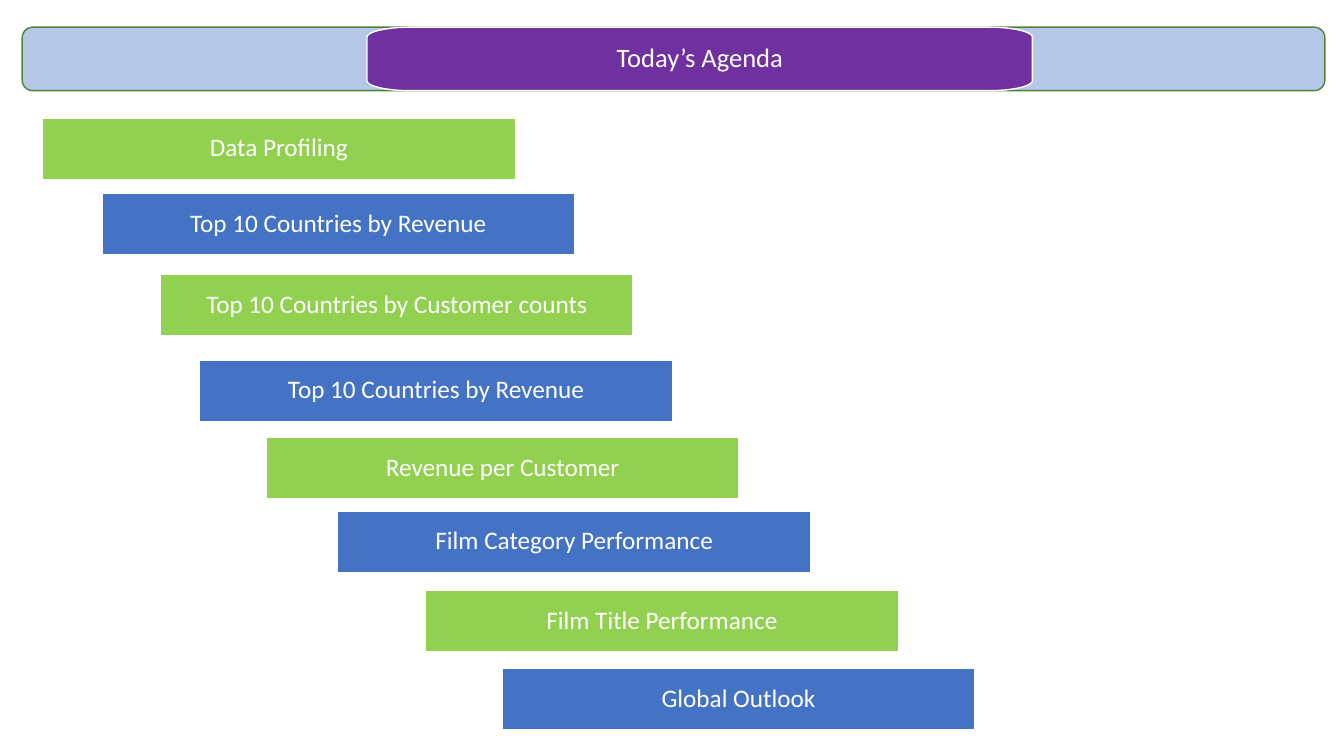
import math

from pptx import Presentation
from pptx.dml.color import RGBColor
from pptx.enum.shapes import MSO_SHAPE
from pptx.enum.text import MSO_ANCHOR, PP_ALIGN
from pptx.util import Pt

PX = 9144  # 100 px to the inch
RECTANGLE = MSO_SHAPE.RECTANGLE
ROUNDED = MSO_SHAPE.ROUNDED_RECTANGLE
MIDDLE = MSO_ANCHOR.MIDDLE
CENTER = PP_ALIGN.CENTER

WHITE = RGBColor(0xFF, 0xFF, 0xFF)
PALE_BLUE = RGBColor(0xB4, 0xC7, 0xE7)
DARK_GREEN = RGBColor(0x53, 0x80, 0x35)
PURPLE = RGBColor(0x70, 0x30, 0xA0)
GREEN = RGBColor(0x92, 0xD0, 0x50)
BLUE = RGBColor(0x44, 0x72, 0xC4)

BAR_WIDTH, BAR_HEIGHT = 469, 61
AGENDA = [  # left, top, topic
    (42, 117, "Data Profiling"),
    (101, 192, "Top 10 Countries by Revenue"),
    (159, 272, "Top 10 Countries by Customer counts"),
    (198, 357, "Top 10 Countries by Revenue"),
    (264, 434, "Revenue per Customer"),
    (335, 507, "Film Category Performance"),
    (422, 586, "Film Title Performance"),
    (498, 663, "Global Outlook"),
]


def px(length):
    return round(length * PX)


def paint(shape, fill, line):
    shape.shadow.inherit = False
    shape.fill.solid()
    shape.fill.fore_color.rgb = fill
    shape.line.color.rgb = line
    shape.line.width = Pt(1)


def write(shape, text, size, inset_x, inset_y):
    frame = shape.text_frame
    frame.word_wrap = True
    frame.vertical_anchor = MIDDLE
    frame.margin_left = frame.margin_right = px(inset_x)
    frame.margin_top = frame.margin_bottom = px(inset_y)
    para = frame.paragraphs[0]
    para.text = text
    para.alignment = CENTER
    para.line_spacing = 0.9
    para.space_after = Pt(size * 0.35)
    para.font.name = "Calibri"
    para.font.size = Pt(size)
    para.font.color.rgb = WHITE


def add_box(page, kind, left, top, width, height):
    return page.shapes.add_shape(kind, px(left), px(top), px(width), px(height))


def add_tab(page, left, top, width, height, radius_x, radius_y):
    """Add a rectangle whose corners are quarter ellipses."""
    right, bottom = left + width, top + height
    corners = [
        (left + radius_x, top + radius_y, 180),
        (right - radius_x, top + radius_y, 270),
        (right - radius_x, bottom - radius_y, 0),
        (left + radius_x, bottom - radius_y, 90),
    ]
    outline = []
    for center_x, center_y, start in corners:
        for degrees in range(start, start + 91, 6):
            angle = math.radians(degrees)
            outline.append((px(center_x + radius_x * math.cos(angle)),
                            px(center_y + radius_y * math.sin(angle))))
    builder = page.shapes.build_freeform(*outline[0])
    builder.add_line_segments(outline[1:], close=True)
    return builder.convert_to_shape()


def add_header(page, left, top, width, height):
    band = add_box(page, ROUNDED, left, top, width, height)
    paint(band, PALE_BLUE, DARK_GREEN)
    tab = add_tab(page, left + 342, top, 660, height, 43, 10)
    paint(tab, PURPLE, WHITE)
    write(tab, "Today’s Agenda", 19, 13, 9)


def add_agenda(page):
    for index, (left, top, topic) in enumerate(AGENDA):
        bar = add_box(page, RECTANGLE, left, top, BAR_WIDTH, BAR_HEIGHT)
        paint(bar, BLUE if index % 2 else GREEN, WHITE)
        write(bar, topic, 18, 6, 6)


def main():
    deck = Presentation()
    deck.slide_width, deck.slide_height = px(1333), px(750)
    page = deck.slides.add_slide(deck.slide_layouts[6])
    add_header(page, 22, 27, 1292, 63)
    add_agenda(page)
    deck.save("out.pptx")


if __name__ == "__main__":
    main()
